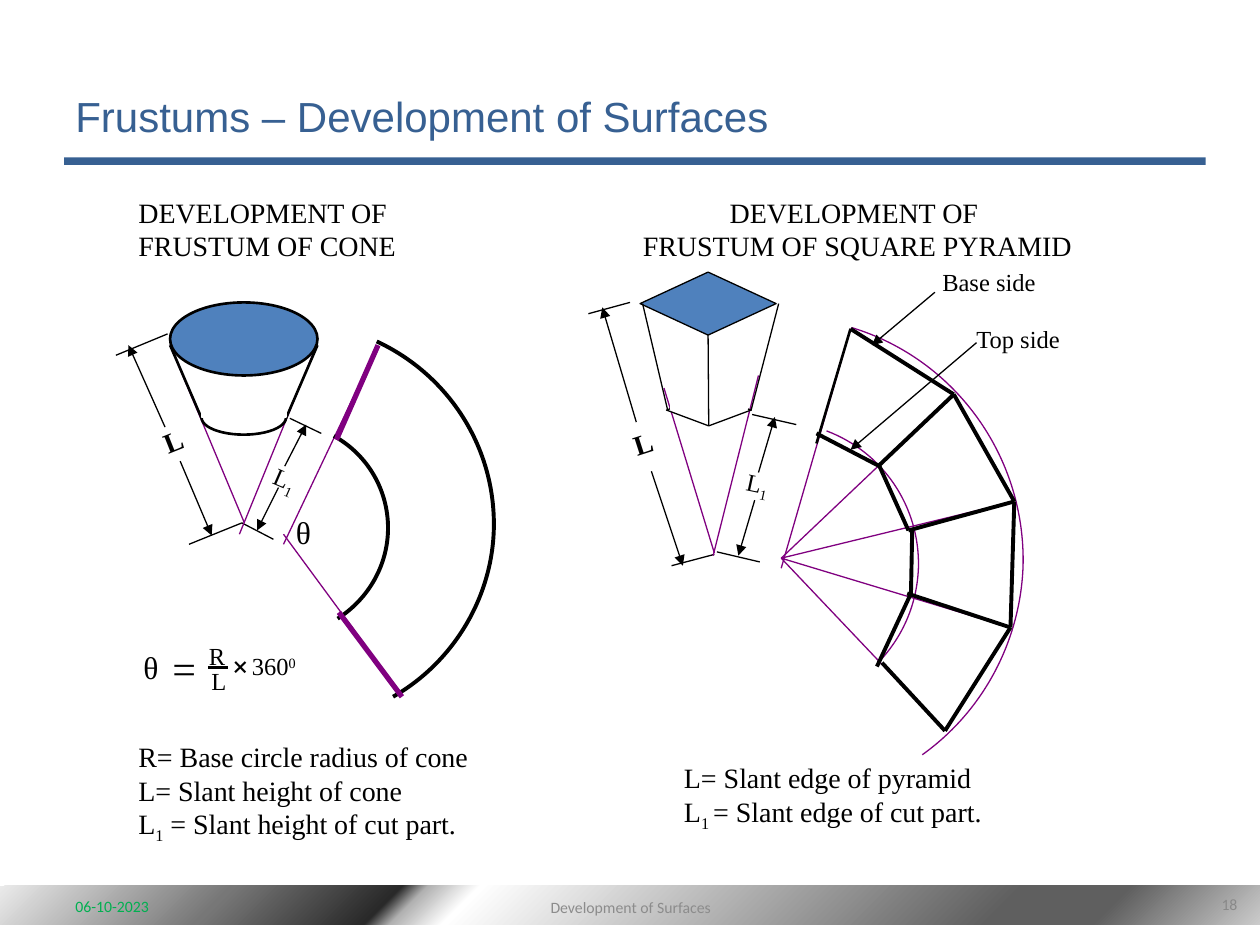
from itertools import pairwise

from lxml import etree
from pptx import Presentation
from pptx.dml.color import RGBColor
from pptx.enum.shapes import MSO_CONNECTOR, MSO_SHAPE
from pptx.enum.text import MSO_ANCHOR, MSO_AUTO_SIZE, PP_ALIGN
from pptx.oxml.ns import qn
from pptx.util import Inches, Pt

STRAIGHT = MSO_CONNECTOR.STRAIGHT
RECTANGLE, OVAL, DIAMOND = MSO_SHAPE.RECTANGLE, MSO_SHAPE.OVAL, MSO_SHAPE.DIAMOND
TOP, MIDDLE, BOTTOM = MSO_ANCHOR.TOP, MSO_ANCHOR.MIDDLE, MSO_ANCHOR.BOTTOM
LEFT, CENTER, RIGHT = PP_ALIGN.LEFT, PP_ALIGN.CENTER, PP_ALIGN.RIGHT
FIXED, GROW = MSO_AUTO_SIZE.NONE, MSO_AUTO_SIZE.SHAPE_TO_FIT_TEXT

BLACK, WHITE, PURPLE, NAVY, BLUE = "000000", "FFFFFF", "800080", "376092", "4F81BD"
FOOTER_STOPS = [(0, "CBCBCB"), (13, "5F5F5F"), (21, "5F5F5F"), (63, "FFFFFF"),
                (67, "B2B2B2"), (69, "292929"), (82, "777777"), (100, "EAEAEA")]


def rgb(color):
    return RGBColor.from_string(color)


def inches(values):
    return [Inches(value) for value in values]


def add_text(page, text, at, size=14, font="Times New Roman", color=BLACK, bold=False,
             align=LEFT, anchor=TOP, wrap=False, rotation=0, baseline=-25):
    box = page.shapes.add_textbox(*inches(at))
    box.rotation = rotation
    frame = box.text_frame
    frame.word_wrap = wrap
    frame.auto_size = FIXED if wrap else GROW
    frame.vertical_anchor = anchor
    for index, line_text in enumerate(text.split("\n")):
        para = frame.paragraphs[0] if index == 0 else frame.add_paragraph()
        para.alignment = align
        for part, words in enumerate(line_text.split("|")):
            if not words:
                continue
            span = para.add_run()
            span.text = words
            span.font.size = Pt(size)
            span.font.name = font
            span.font.bold = bold
            span.font.color.rgb = rgb(color)
            if part % 2:
                span.font._element.set("baseline", str(baseline * 1000))


def add_line(page, start, end, color=BLACK, width=0.75, arrow=False):
    connector = page.shapes.add_connector(STRAIGHT, *inches((*start, *end)))
    connector.line.color.rgb = rgb(color)
    connector.line.width = Pt(width)
    properties = connector.element.spPr
    if arrow:
        etree.SubElement(properties.find(qn("a:ln")), qn("a:tailEnd"), type="triangle")
    etree.SubElement(properties, qn("a:effectLst"))
    return connector


def add_chain(page, points, **style):
    for start, end in pairwise(points):
        add_line(page, start, end, **style)


def add_shape(page, kind, at, fill, line=None, width=0.75):
    shape = page.shapes.add_shape(kind, *inches(at))
    shape.shadow.inherit = False
    shape.fill.solid()
    shape.fill.fore_color.rgb = rgb(fill)
    if line:
        shape.line.color.rgb = rgb(line)
        shape.line.width = Pt(width)
    else:
        shape.line.fill.background()
    return shape


def add_gradient_bar(page, at, stops):
    bar = add_shape(page, RECTANGLE, at, WHITE)
    gradient = etree.Element(qn("a:gradFill"), rotWithShape="1")
    stop_list = etree.SubElement(gradient, qn("a:gsLst"))
    for position, color in stops:
        stop = etree.SubElement(stop_list, qn("a:gs"), pos=str(position * 1000))
        etree.SubElement(stop, qn("a:srgbClr"), val=color)
    circle = etree.SubElement(gradient, qn("a:path"), path="circle")
    etree.SubElement(circle, qn("a:fillToRect"), l="100000", t="100000")
    properties = bar.element.spPr
    properties.replace(properties.find(qn("a:solidFill")), gradient)


def add_arc(page, knots, color, width):
    first, *rest = [inches(knot) for knot in knots]
    builder = page.shapes.build_freeform(*first, scale=1.0)
    builder.add_line_segments(rest, close=False)
    arc = builder.convert_to_shape()
    arc.shadow.inherit = False
    arc.fill.background()
    arc.line.color.rgb = rgb(color)
    arc.line.width = Pt(width)
    segments = list(arc.element.iter(qn("a:lnTo")))
    outline = segments[0].getparent()
    for index in range(0, len(segments), 3):
        curve = etree.SubElement(outline, qn("a:cubicBezTo"))
        for segment in segments[index:index + 3]:
            curve.append(segment[0])
            outline.remove(segment)


def add_frame(page):
    add_gradient_bar(page, (0, 7.03, 10, 0.31), FOOTER_STOPS)
    add_shape(page, RECTANGLE, (0.51, 1.25, 9.06, 0.06), NAVY)
    add_text(page, "Frustums – Development of Surfaces", (0.5, 0.15, 9, 1.02), size=24,
             font="Arial", color=NAVY, anchor=BOTTOM, wrap=True)
    for text, at, color, align in [
            ("06-10-2023", (0.5, 6.99, 2.33, 0.4), "00B050", LEFT),
            ("Development of Surfaces", (3.42, 7, 3.17, 0.4), "8C8C8C", CENTER),
            ("18", (7.59, 6.98, 2.33, 0.4), "898989", RIGHT)]:
        add_text(page, text, at, size=9, font="Calibri", color=color, align=align,
                 anchor=MIDDLE, wrap=True)


def add_cone_development(page):
    add_line(page, (3, 2.74), (2.25, 4.32), PURPLE)
    add_line(page, (2.25, 4.24), (3.17, 5.49), PURPLE)
    add_arc(page, [(2.99, 2.71), (3.55, 2.97), (3.92, 3.53), (3.92, 4.16),
                   (3.92, 4.72), (3.61, 5.25), (3.12, 5.53)], BLACK, 2.25)
    add_arc(page, [(2.65, 3.46), (2.92, 3.61), (3.08, 3.89), (3.08, 4.19),
                   (3.08, 4.48), (2.93, 4.75), (2.68, 4.91)], BLACK, 2.25)
    add_line(page, (3, 2.74), (2.67, 3.49), PURPLE, 3)
    add_line(page, (2.69, 4.86), (3.19, 5.53), PURPLE, 3)
    add_text(page, "θ", (2.25, 4.02, 0.33, 0.4), size=18)


def add_pyramid_development(page):
    apex = (6.2, 4.43)
    base = [(6.75, 2.61), (7.57, 3.13), (8.05, 3.98), (8.02, 4.98), (7.5, 5.8)]
    add_line(page, base[0], (6.2, 4.51), PURPLE)
    for corner in base[1:]:
        add_line(page, apex, corner, PURPLE)
    add_arc(page, [(6.76, 2.6), (7.58, 2.85), (8.14, 3.62), (8.12, 4.49),
                   (8.1, 5.08), (7.81, 5.64), (7.32, 5.99)], PURPLE, 0.75)
    add_arc(page, [(6.56, 3.42), (7.01, 3.59), (7.3, 4.02), (7.29, 4.5),
                   (7.28, 4.79), (7.17, 5.05), (6.97, 5.26)], PURPLE, 0.75)
    add_chain(page, base, width=2.25)
    add_chain(page, [(6.48, 3.44), (6.98, 3.7), (7.21, 4.21)], width=2.25)
    add_chain(page, [(7.24, 4.21), (7.23, 4.71), (6.96, 5.29)], width=2.25)
    add_line(page, base[0], (6.48, 3.52), width=1.5)
    for outer, inner in zip(base[1:], [(6.97, 3.7), (7.21, 4.21), (7.2, 4.71), (7, 5.26)]):
        add_line(page, outer, inner, width=2.25)
    add_line(page, (7.42, 2.32), (6.92, 2.74), arrow=True)
    add_text(page, "Base side", (7.38, 2.07, 0.99, 0.33))
    add_line(page, (7.75, 2.72), (6.75, 3.57), arrow=True)
    add_text(page, "Top side", (7.65, 2.52, 0.88, 0.33))


def add_dimension(page, extensions, arrows, label, at, **style):
    for start, end in extensions:
        add_line(page, start, end)
    for start, end in arrows:
        add_line(page, start, end, arrow=True)
    add_text(page, label, at, **style)


def add_dimensions(page):
    add_dimension(page, [((1.33, 2.65), (0.92, 2.82)), ((1.92, 4.15), (1.5, 4.32))],
                  [((1.31, 3.39), (1.02, 2.74)), ((1.43, 3.66), (1.68, 4.25))],
                  "L", (1.2, 3.31, 0.35, 0.37), size=16, bold=True, rotation=338.1)
    add_dimension(page, [((5, 2.4), (4.67, 2.49)), ((5.67, 4.4), (5.33, 4.49))],
                  [((5.05, 3.35), (4.78, 2.44)), ((5.17, 3.74), (5.42, 4.49))],
                  "L", (4.93, 3.33, 0.35, 0.37), size=16, bold=True, rotation=342.1)
    add_dimension(page, [((2.3, 3.32), (2.55, 3.44)), ((1.92, 4.15), (2.17, 4.28))],
                  [((2.26, 3.7), (2.43, 3.37)), ((2.21, 3.87), (2.04, 4.21))],
                  "L|1", (2.08, 3.64, 0.38, 0.33), rotation=23.5)
    add_dimension(page, [((5.97, 3.29), (6.32, 3.37)), ((5.69, 4.38), (6.03, 4.46))],
                  [((6.02, 3.75), (6.15, 3.31)), ((5.99, 3.97), (5.86, 4.41))],
                  "L|1", (5.83, 3.67, 0.38, 0.33), rotation=12.1)


def add_formula(page):
    add_text(page, "θ", (1.04, 5.09, 0.33, 0.4), size=18)
    add_text(page, "=", (1.27, 5.05, 0.39, 0.5), size=24)
    add_text(page, "R", (1.56, 5.04, 0.33, 0.33))
    add_text(page, "L", (1.58, 5.24, 0.32, 0.33))
    add_line(page, (1.65, 5.3), (1.81, 5.3), width=1.5)
    add_text(page, "+", (1.75, 5.09, 0.34, 0.4), size=18, bold=True, rotation=45.8)
    add_text(page, "360|0", (1.9, 5.12, 0.56, 0.33), baseline=30)


def add_captions(page):
    add_text(page, "R= Base circle radius of cone\nL= Slant height of cone\n"
             "L|1| = Slant height of cut part.", (1, 5.82, 2.83, 0.9), size=16)
    add_text(page, "L= Slant edge of pyramid\nL|1 |= Slant edge of cut part.",
             (5.33, 5.99, 2.59, 0.64), size=16)
    add_text(page, "DEVELOPMENT OF\nFRUSTUM OF CONE", (1, 1.5, 2.25, 0.64), size=16)
    add_text(page, "DEVELOPMENT OF \nFRUSTUM OF SQUARE PYRAMID", (5, 1.5, 3.61, 0.64),
             size=16, align=CENTER)


def add_cone(page):
    add_line(page, (1.35, 2.74), (1.94, 4.15), PURPLE)
    add_line(page, (2.48, 2.82), (1.9, 4.24), PURPLE)
    add_shape(page, OVAL, (1.35, 2.4, 1.17, 0.58), BLUE, BLACK, 1.5)
    add_shape(page, OVAL, (1.6, 3.18, 0.67, 0.27), WHITE, BLACK, 1.5)
    add_line(page, (1.6, 3.32), (1.35, 2.74), width=1.5)
    add_line(page, (2.27, 3.32), (2.52, 2.74), width=1.5)
    add_shape(page, RECTANGLE, (1.6, 3.14, 0.67, 0.17), WHITE, WHITE)


def add_pyramid(page):
    add_line(page, (5.27, 3.08), (5.67, 4.39), PURPLE)
    add_line(page, (6.02, 2.98), (5.66, 4.41), PURPLE)
    base = add_shape(page, DIAMOND, (5.08, 2.16, 1.08, 0.5), BLUE, BLACK)
    cut = add_shape(page, DIAMOND, (5.29, 3.13, 0.67, 0.25), WHITE, BLACK)
    add_line(page, (5.3, 3.26), (5.1, 2.41))
    add_line(page, (5.96, 3.26), (6.18, 2.41))
    add_shape(page, RECTANGLE, (5.32, 3.08, 0.61, 0.17), WHITE, WHITE)
    front_edge = add_line(page, (5.62, 3.39), (5.62, 2.65))
    front_edge.begin_connect(cut, 2)
    front_edge.end_connect(base, 2)


def main():
    deck = Presentation()
    deck.slide_width, deck.slide_height = Inches(10), Inches(7.5)
    page = deck.slides.add_slide(deck.slide_layouts[6])
    for build in (add_frame, add_cone_development, add_pyramid_development,
                  add_dimensions, add_formula, add_captions, add_cone, add_pyramid):
        build(page)
    deck.save("out.pptx")


if __name__ == "__main__":
    main()
